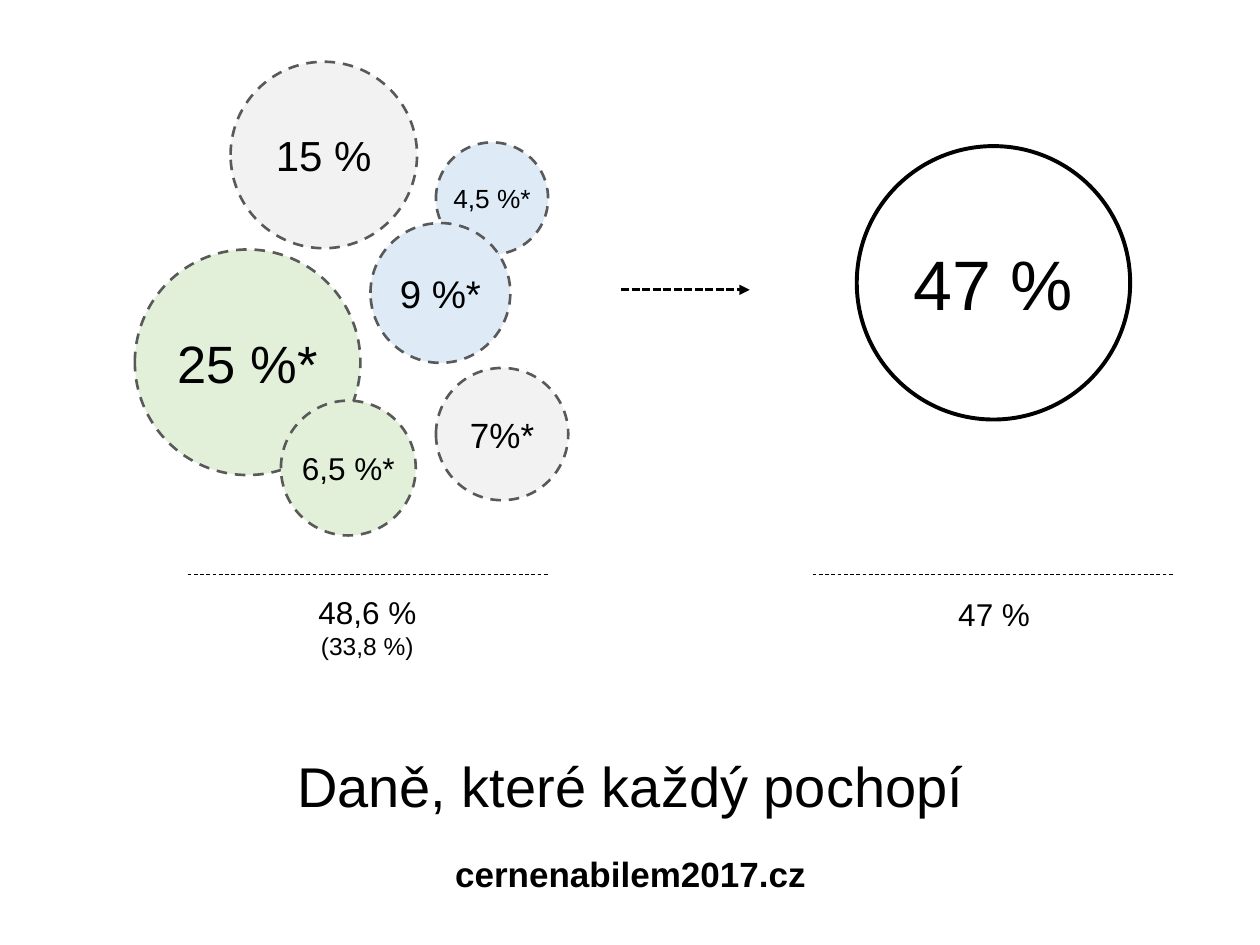
from lxml import etree
from pptx import Presentation
from pptx.dml.color import RGBColor
from pptx.enum import dml, shapes, text
from pptx.oxml.ns import qn
from pptx.util import Inches, Pt

BLACK = RGBColor(0x00, 0x00, 0x00)
WHITE = RGBColor(0xFF, 0xFF, 0xFF)
DARK_GRAY = RGBColor(0x59, 0x59, 0x59)
GRAY = RGBColor(0xF2, 0xF2, 0xF2)
GREEN = RGBColor(0xE2, 0xF0, 0xD9)
BLUE = RGBColor(0xDE, 0xEB, 0xF7)


def format_paragraph(p, size, bold=False):
    p.alignment = text.PP_ALIGN.CENTER
    p.font.name = "Arial"
    p.font.size = Pt(size)
    p.font.bold = bold
    p.font.color.rgb = BLACK


def add_dashed_line(x1, x2, y, width, dash):
    line = s.shapes.add_connector(shapes.MSO_CONNECTOR.STRAIGHT,
                                  Inches(x1), Inches(y), Inches(x2), Inches(y))
    line.line.color.rgb = BLACK
    line.line.width = Pt(width)
    line.line.dash_style = dash
    etree.SubElement(line._element.spPr, qn("a:effectLst"))
    return line


prs = Presentation()
prs.slide_width, prs.slide_height = Inches(10), Inches(7.5)
s = prs.slides.add_slide(prs.slide_layouts[0])

# Title and web address
title, web = s.placeholders
for sp, words, top, size, bold in (
    (title, "Daně, které každý pochopí", 5.86, 32, False),
    (web, "cernenabilem2017.cz", 6.57, 20, True),
):
    sp.left, sp.top = Inches(1.45), Inches(top)
    sp.width, sp.height = Inches(7.11), Inches(0.69)
    tf = sp.text_frame
    tf.text = words
    tf.auto_size = text.MSO_AUTO_SIZE.NONE
    tf.vertical_anchor = text.MSO_ANCHOR.MIDDLE
    tf.margin_left = tf.margin_right = tf.margin_top = tf.margin_bottom = 0
    p = tf.paragraphs[0]
    p.line_spacing = 1.1
    p.space_before = Pt(0)
    format_paragraph(p, size, bold)

# Tax circles: label, left, top, diameter, fill, font size
taxes = (
    ("15 %", 1.83, 0.49, 1.48, GRAY, 24),
    ("25 %*", 1.07, 1.98, 1.79, GREEN, 30),
    ("4,5 %*", 3.46, 1.13, 0.89, BLUE, 15),
    ("6,5 %*", 2.23, 3.18, 1.07, GREEN, 18),
    ("9 %*", 2.94, 1.77, 1.11, BLUE, 22),
    ("7%*", 3.46, 2.92, 1.05, GRAY, 20),
    ("47 %", 6.8, 1.16, 2.17, WHITE, 40),
)
for label, left, top, diameter, fill, size in taxes:
    sp = s.shapes.add_shape(shapes.MSO_SHAPE.OVAL, Inches(left), Inches(top),
                            Inches(diameter), Inches(diameter))
    sp.shadow.inherit = False
    sp.fill.solid()
    sp.fill.fore_color.rgb = fill
    if fill == WHITE:
        sp.line.color.rgb = BLACK
        sp.line.width = Pt(2.25)
    else:
        sp.line.color.rgb = DARK_GRAY
        sp.line.width = Pt(1.5)
        sp.line.dash_style = dml.MSO_LINE.DASH
    tf = sp.text_frame
    tf.text = label
    tf.vertical_anchor = text.MSO_ANCHOR.MIDDLE
    tf.margin_left = tf.margin_right = 0
    format_paragraph(tf.paragraphs[0], size)

# Arrow from the separate taxes to the single one
arrow = add_dashed_line(4.93, 5.95, 2.3, 1.5, dml.MSO_LINE.SQUARE_DOT)
etree.SubElement(arrow.line._get_or_add_ln(), qn("a:tailEnd"), type="triangle")

# Totals under their rules
totals = (
    (1.49, 2.42, 4.66, 0.99, 0.64, (("48,6 %", 18), ("(33,8 %)", 14))),
    (6.45, 7.5, 4.67, 0.78, 0.4, (("47 %", 18),)),
)
for rule_left, left, top, width, height, lines in totals:
    add_dashed_line(rule_left, rule_left + 2.86, 4.56, 0.5, dml.MSO_LINE.DASH)
    sp = s.shapes.add_textbox(Inches(left), Inches(top), Inches(width), Inches(height))
    tf = sp.text_frame
    tf.word_wrap = False
    tf.auto_size = text.MSO_AUTO_SIZE.SHAPE_TO_FIT_TEXT
    tf.text = "\n".join(words for words, size in lines)
    for p, (words, size) in zip(tf.paragraphs, lines):
        format_paragraph(p, size)

prs.save("out.pptx")
